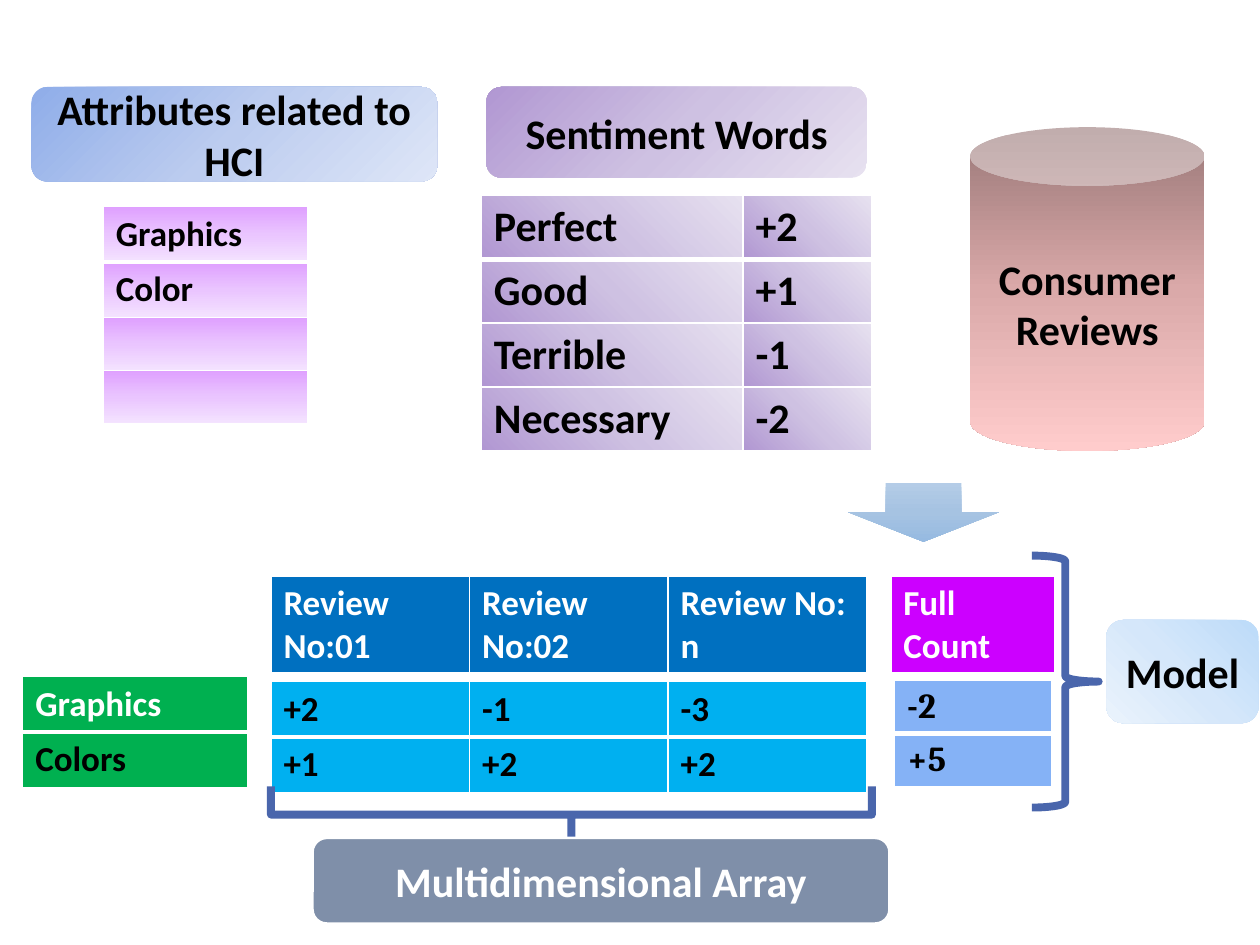
"""Build the slide on scoring consumer reviews with sentiment words."""
from lxml import etree
from pptx import Presentation, util as u
from pptx.dml.color import RGBColor
from pptx.enum import shapes, text
from pptx.oxml.ns import qn

COLORS = {"black": "000000", "white": "FFFFFF", "brace": "4A66AC",
          "header": "0070C0", "score": "00B0F0", "attribute": "00B050",
          "total": "85B2F6", "total header": "CC00FF", "array": "7F8FA9"}
GRADIENTS = {
    "pink": (("DFA0FF", "EAC5FF", "F4E3FF"), 90),
    "lilac cell": (("B197D2", "CEC1E2", "E7E1F0"), {"t": 100, "r": 100}),
    "lilac": (("B197D2", "CEC1E2", "E7E1F0"), {"r": 100, "b": 100}),
    "blue": (("8FADE9", "BCCCEF", "DEE6F7"), 45),
    "sky": (("BCDBF9", "D5E7FA", "EAF3FC"), 135),
    "rose": (("997777", "DAA9A9", "FFCCCC"), 90),
    "arrow": (("B4CCE7", "A6C3E2", "96BAE1"), 90),
}
TABLES = [
    ((0.82, 1.64, 1.62, 1.68), [1], [["Graphics"], ["Color"], [""], [""]],
     "pink", 20, "Calibri", ["black"]),
    ((3.82, 1.55, 3.1, 2), [0.67, 0.33],
     [["Perfect", "+2"], ["Good", "+1"], ["Terrible", "-1"], ["Necessary", "-2"]],
     "lilac cell", 24, "Calibri", ["black"]),
    ((2.15, 5.41, 4.73, 0.87), [1 / 3] * 3,
     [["+2", "-1", "-3"], ["+1", "+2", "+2"]], "score", 20, "Calibri", ["black"]),
    ((2.15, 4.57, 4.73, 0.77), [1 / 3] * 3,
     [["Review No:01", "Review No:02", "Review No: n"]],
     "header", 20, "Calibri", ["white"]),
    ((0.18, 5.37, 1.79, 0.87), [1], [["Graphics"], ["Colors"]],
     "attribute", 20, "Calibri", ["white", "black"]),
    ((7.1, 5.4, 1.25, 0.8), [1], [["-2"], ["+5"]], "total", 20, "Cambria", ["black"]),
    ((7.07, 4.57, 1.3, 0.77), [1], [["Full Count"]],
     "total header", 20, "Calibri", ["white"]),
]
KIND = shapes.MSO_SHAPE
BLOCKS = [
    (KIND.ROUNDED_RECTANGLE, (0.25, 0.69, 3.22, 0.75), "blue",
     "Attributes related to HCI", "black"),
    (KIND.ROUNDED_RECTANGLE, (3.86, 0.69, 3.02, 0.72), "lilac", "Sentiment Words", "black"),
    (KIND.ROUNDED_RECTANGLE, (8.78, 4.92, 1.21, 0.82), "sky", "Model", "black"),
    (KIND.CAN, (7.7, 1.01, 1.86, 2.57), "rose", "Consumer Reviews", "black"),
    (KIND.ROUNDED_RECTANGLE, (2.48, 6.65, 4.58, 0.68), "array",
     "Multidimensional Array", "white"),
    (KIND.DOWN_ARROW, (6.73, 3.83, 1.2, 0.47), "arrow", "", "black"),
]
BRACES = [((8.19, 4.41, 0.53, 2), 0, 0.08333), ((4.31, 4.08, 0.45, 4.77), 90, 0)]


def inches(box):
    return [u.Inches(length) for length in box]


def rgb(name):
    return RGBColor.from_string(COLORS[name])


def paint(fill, holder, name):
    if name in COLORS:
        fill.solid()
        fill.fore_color.rgb = rgb(name)
        return
    stops, direction = GRADIENTS[name]
    fill.gradient()
    grad = holder.find(qn("a:gradFill"))
    for child in list(grad):
        grad.remove(child)
    stop_list = etree.SubElement(grad, qn("a:gsLst"))
    for position, color in zip((0, 50000, 100000), stops):
        stop = etree.SubElement(stop_list, qn("a:gs"), pos=str(position))
        etree.SubElement(stop, qn("a:srgbClr"), val=color)
    if isinstance(direction, dict):
        circle = etree.SubElement(grad, qn("a:path"), path="circle")
        etree.SubElement(circle, qn("a:fillToRect"),
                         **{side: str(share * 1000) for side, share in direction.items()})
    else:
        etree.SubElement(grad, qn("a:lin"), ang=str(direction * 60000), scaled="0")


def write(frame, words, size, font, color):
    frame.text = words
    for run in frame.paragraphs[0].runs:
        run.font.size, run.font.name, run.font.bold = u.Pt(size), font, True
        run.font.color.rgb = rgb(color)


def add_borders(props, widths):
    for side, width in widths.items():
        line = etree.SubElement(props, qn("a:ln" + side), w=str(u.Pt(width)))
        solid = etree.SubElement(line, qn("a:solidFill"))
        etree.SubElement(solid, qn("a:srgbClr"), val=COLORS["white"])


def add_grid(slide, box, shares, rows, fill, size, font, colors):
    grid = slide.shapes.add_table(len(rows), len(shares), *inches(box)).table
    for column, share in zip(grid.columns, shares):
        column.width = u.Inches(box[2] * share)
    for r, row in enumerate(rows):
        for c, words in enumerate(row):
            cell = grid.cell(r, c)
            props = cell._tc.get_or_add_tcPr()
            add_borders(props, {"L": 1, "R": 1, "T": 3 if r == 1 else 1,
                                "B": 3 if r == 0 else 1})
            paint(cell.fill, props, fill)
            write(cell.text_frame, words, size, font, colors[min(r, len(colors) - 1)])


def add_block(slide, kind, box, fill, words, color):
    block = slide.shapes.add_shape(kind, *inches(box))
    block.shadow.inherit = False
    paint(block.fill, block._element.spPr, fill)
    if fill == "array":
        block.line.color.rgb, block.line.width = rgb("white"), u.Pt(1.5)
    else:
        block.line.fill.background()
    if words:
        write(block.text_frame, words, 24, "Calibri", color)
        block.text_frame.vertical_anchor = text.MSO_ANCHOR.MIDDLE
        block.text_frame.paragraphs[0].alignment = text.PP_ALIGN.CENTER


def add_brace(slide, box, rotation, curl):
    brace = slide.shapes.add_shape(KIND.RIGHT_BRACE, *inches(box))
    brace.shadow.inherit = False
    brace.rotation = rotation
    brace.adjustments[0] = curl
    brace.fill.background()
    brace.line.color.rgb, brace.line.width = rgb("brace"), u.Pt(4.5)


def main():
    deck = Presentation()
    deck.slide_width, deck.slide_height = inches((10, 7.5))
    slide = deck.slides.add_slide(deck.slide_layouts[6])
    for grid in TABLES:
        add_grid(slide, *grid)
    for brace in BRACES:
        add_brace(slide, *brace)
    for block in BLOCKS:
        add_block(slide, *block)
    deck.save("out.pptx")


if __name__ == "__main__":
    main()
